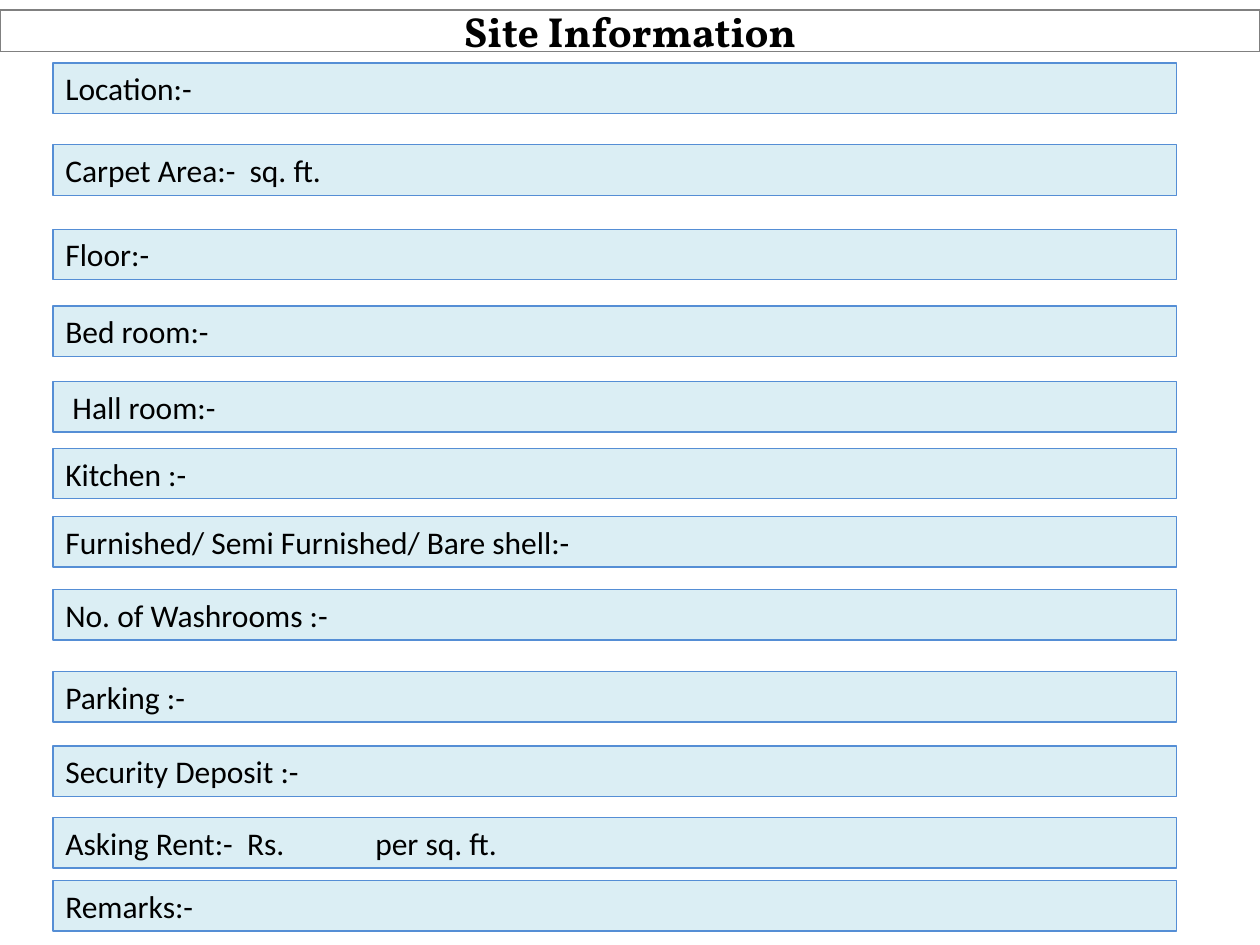
from dataclasses import dataclass

import lxml.etree
import pptx
import pptx.dml.color
import pptx.enum.shapes
import pptx.enum.text
import pptx.oxml.ns
import pptx.util

Inches = pptx.util.Inches
RGBColor = pptx.dml.color.RGBColor
Align = pptx.enum.text.PP_ALIGN
Anchor = pptx.enum.text.MSO_ANCHOR
Fit = pptx.enum.text.MSO_AUTO_SIZE

WHITE = RGBColor(0xFF, 0xFF, 0xFF)
BLACK = RGBColor(0x00, 0x00, 0x00)
GRAY = RGBColor(0x80, 0x80, 0x80)
PALE = RGBColor(0xDB, 0xEE, 0xF4)
BLUE = RGBColor(0x55, 0x8E, 0xD5)


@dataclass(frozen=True)
class Style:
    fill: RGBColor
    line: RGBColor
    font: str
    size: int
    bold: bool
    align: Align
    anchor: Anchor
    fit: Fit


@dataclass(frozen=True)
class Field:
    top: float
    label: str
    tab: float = 0


TITLE = Style(WHITE, GRAY, "Vollkorn", 24, True,
              Align.CENTER, Anchor.MIDDLE, Fit.NONE)
ROW = Style(PALE, BLUE, "Calibri", 18, False,
            Align.LEFT, Anchor.TOP, Fit.SHAPE_TO_FIT_TEXT)

FIELDS = [
    Field(0.5, "Location:-"),
    Field(1.15, "Carpet Area:-  sq. ft."),
    Field(1.82, "Floor:-"),
    Field(2.43, "Bed room:-"),
    Field(3.03, " Hall room:-"),
    Field(3.56, "Kitchen :-"),
    Field(4.1, "Furnished/ Semi Furnished/ Bare shell:-"),
    Field(4.68, "No. of Washrooms :-"),
    Field(5.33, "Parking :-"),
    Field(5.92, "Security Deposit :-"),
    Field(6.49, "Asking Rent:-  Rs.\tper sq. ft.", 2.46),
    Field(6.99, "Remarks:-"),
]


def add_box(slide, left: float, width: float, height: float,
            field: Field, style: Style) -> None:
    box = slide.shapes.add_shape(
        pptx.enum.shapes.MSO_SHAPE.RECTANGLE,
        Inches(left), Inches(field.top), Inches(width), Inches(height))
    box.shadow.inherit = False
    box.fill.solid()
    box.fill.fore_color.rgb = style.fill
    box.line.color.rgb = style.line
    box.line.width = pptx.util.Pt(0.75)

    frame = box.text_frame
    frame.text = field.label
    frame.word_wrap = True
    frame.auto_size = style.fit
    frame.vertical_anchor = style.anchor
    para = frame.paragraphs[0]
    para.alignment = style.align
    if field.tab:
        add_tab(para, field.tab)
    for run in para.runs:
        run.font.name = style.font
        run.font.size = pptx.util.Pt(style.size)
        run.font.bold = style.bold
        run.font.color.rgb = BLACK


def add_tab(para, place: float) -> None:
    name = pptx.oxml.ns.qn
    tabs = lxml.etree.SubElement(para._p.get_or_add_pPr(), name("a:tabLst"))
    lxml.etree.SubElement(tabs, name("a:tab"), pos=str(Inches(place)), algn="l")


def main() -> None:
    deck = pptx.Presentation()
    deck.slide_width = Inches(10)
    deck.slide_height = Inches(7.5)
    slide = deck.slides.add_slide(deck.slide_layouts[6])
    add_box(slide, 0, 10, 0.33, Field(0.08, "Site Information"), TITLE)
    for field in FIELDS:
        add_box(slide, 0.42, 8.92, 0.4, field, ROW)
    deck.save("out.pptx")


main()
